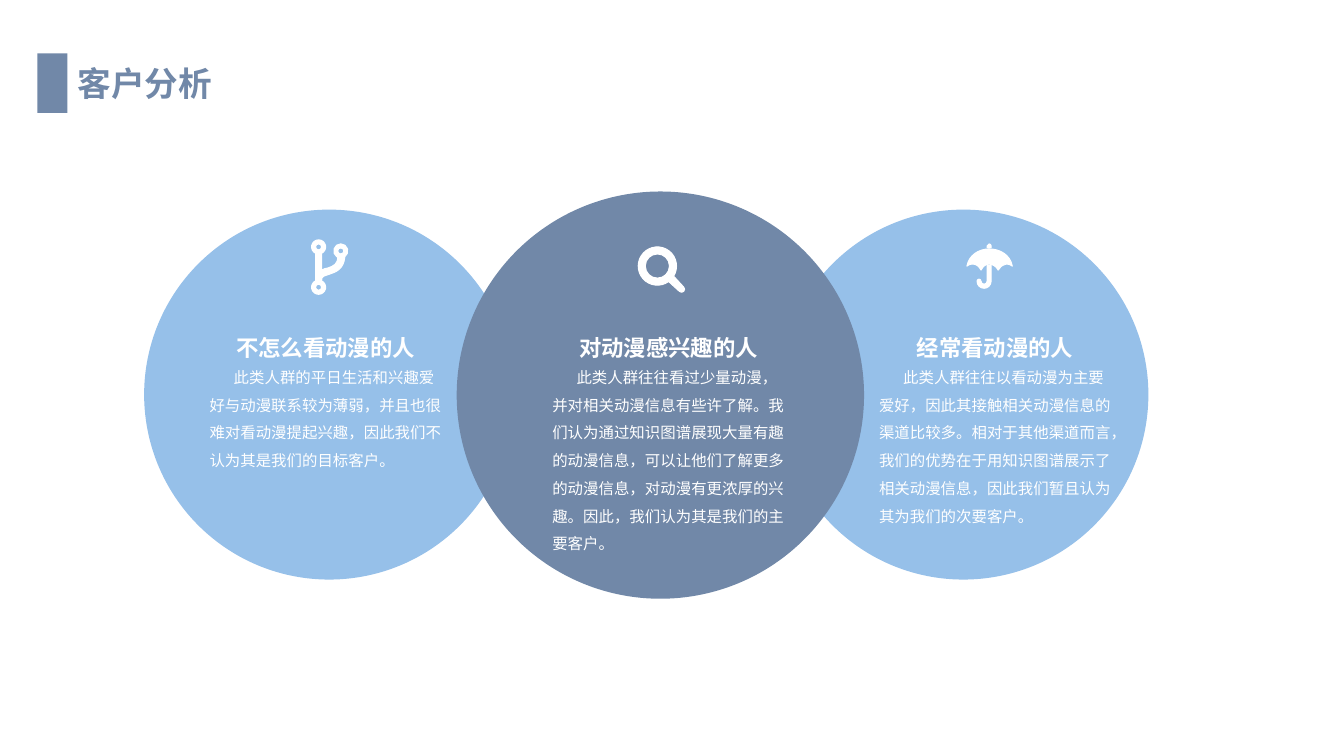
import math
from dataclasses import dataclass

import pptx
import pptx.dml.color
import pptx.enum.shapes
import pptx.enum.text
import pptx.oxml.ns
import pptx.util
from lxml import etree

Inches = pptx.util.Inches
Kind = pptx.enum.shapes.MSO_SHAPE
Align = pptx.enum.text.PP_ALIGN
qn = pptx.oxml.ns.qn


@dataclass(frozen=True)
class Theme:
    font: str = "Noto Sans CJK SC"
    dark: str = "7188A8"
    light: str = "96C0E9"
    white: str = "FFFFFF"
    head: int = 24
    title: int = 16
    body: int = 11
    line: float = 0.75


theme = Theme()


def color(code):
    return pptx.dml.color.RGBColor.from_string(code)


def add_shape(slide, kind, box, fill):
    shape = slide.shapes.add_shape(kind, *map(Inches, box))
    shape.shadow.inherit = False
    shape.fill.solid()
    shape.fill.fore_color.rgb = color(fill)
    shape.line.fill.background()


def add_text(slide, box, text, size, fill, bold=False, wrap=False):
    frame = slide.shapes.add_textbox(*map(Inches, box)).text_frame
    frame.word_wrap = wrap
    frame.text = text
    para = frame.paragraphs[0]
    font = para.runs[0].font
    font.name, font.size, font.bold = theme.font, pptx.util.Pt(size), bold
    font.color.rgb = color(fill)
    props = para.runs[0]._r.get_or_add_rPr()
    etree.SubElement(props, qn("a:ea")).set("typeface", theme.font)
    return para


# Outline parts: a start point, then three points for each Bezier segment
def arc(x, y, radius, start, end):
    count = math.ceil(abs(end - start) / 90)
    step = math.radians(end - start) / count
    pull = 4 / 3 * math.tan(step / 4)

    def spot(angle, shift=0):
        c, s = math.cos(angle), math.sin(angle)
        return x + radius * (c - shift * s), y + radius * (s + shift * c)

    first = math.radians(start)
    points = [spot(first)]
    for i in range(count):
        a, b = first + i * step, first + (i + 1) * step
        points += [spot(a, pull), spot(b, -pull), spot(b)]
    return points


def ring(x, y, radius):
    return arc(x, y, radius, 0, 360)


def join(*parts):
    """Chain parts, with a straight segment across each gap."""
    points = list(parts[0])
    for part in parts[1:]:
        points += [points[-1], part[0]] + part
    return points


# Icons: lists of closed outlines
def fork():
    nodes = [(0.07, 0.07), (0.07, 0.47), (0.29, 0.11)]
    top, foot, side = nodes
    outer = [(0.1, 0.4), (0.1, 0.36), (0.12, 0.36), (0.18, 0.34),
             (0.24, 0.32), (0.32, 0.29), (0.33, 0.17)]
    inner = [(0.26, 0.17), (0.26, 0.24), (0.22, 0.26), (0.16, 0.28),
             (0.14, 0.28), (0.12, 0.29), (0.1, 0.3)]
    edge = join(arc(*top, 0.07, 65, -245), arc(*foot, 0.07, -115, -425),
                outer, arc(*side, 0.07, 55, -235), inner)
    return [edge] + [ring(x, y, 0.03) for x, y in nodes]


def lens():
    edge = join(arc(0.19, 0.19, 0.19, 54, 392), arc(0.43, 0.42, 0.03, -45, 135))
    return [edge, ring(0.19, 0.19, 0.12)]


def umbrella():
    cover = [(0, 0.22), (0.02, 0.11), (0.12, 0.05), (0.22, 0.05),
             (0.33, 0.05), (0.43, 0.11), (0.45, 0.22),
             (0.42, 0.2), (0.41, 0.2), (0.39, 0.2),
             (0.36, 0.2), (0.34, 0.22), (0.31, 0.26),
             (0.29, 0.22), (0.25, 0.2), (0.22, 0.2),
             (0.19, 0.2), (0.16, 0.22), (0.14, 0.26),
             (0.12, 0.22), (0.09, 0.2), (0.06, 0.2),
             (0.04, 0.2), (0.03, 0.2), (0, 0.22)]
    stem = join(arc(0.17, 0.37, 0.07, 0, 180), arc(0.12, 0.37, 0.02, 180, 360),
                arc(0.17, 0.37, 0.03, 180, 0), [(0.2, 0.21)], [(0.24, 0.21)])
    tip = join([(0.2, 0.04)], arc(0.22, 0.02, 0.02, 180, 360), [(0.24, 0.04)])
    return [cover, stem, tip]


def add_icon(slide, left, top, paths):
    paths = [[(Inches(left + x), Inches(top + y)) for x, y in path] for path in paths]
    pen = slide.shapes.build_freeform(*paths[0][0], scale=1.0)
    for i, path in enumerate(paths):
        if i:
            pen.move_to(*path[0])
        pen.add_line_segments(path[1:], close=True)
    icon = pen.convert_to_shape()
    icon.shadow.inherit = False
    icon.fill.solid()
    icon.fill.fore_color.rgb = color(theme.white)
    icon.line.color.rgb = color(theme.white)
    icon.line.width = pptx.util.Pt(theme.line)
    # Each three points become one Bezier segment
    lines = list(icon._element.iter(qn("a:lnTo")))
    for trio in zip(*[iter(lines)] * 3):
        bend = etree.Element(qn("a:cubicBezTo"))
        trio[0].addprevious(bend)
        for line in trio:
            bend.append(line[0])
            line.getparent().remove(line)


def heading(slide, left, top, text):
    add_text(slide, (left + 0.3, top + 0.05, 1.55, 0.5), text, theme.head, theme.dark, True)
    add_shape(slide, Kind.RECTANGLE, (left, top, 0.3, 0.59), theme.dark)


def group(slide, box, fill, icon, spot, inset, title, body, tall):
    """One circle with its icon, title and text; spot and inset count from its corner."""
    left, top, size = box
    add_shape(slide, Kind.OVAL, (left, top, size, size), fill)
    add_icon(slide, left + spot[0], top + spot[1], icon())
    x, y = left + inset[0], top + inset[1]
    wide = 0.22 * len(title) + 0.23
    para = add_text(slide, (x + (2.5 - wide) / 2, y, wide, 0.37), title,
                    theme.title, theme.white, True)
    para.alignment = Align.CENTER
    para = add_text(slide, (x, y + 0.24, 2.5, tall), body, theme.body, theme.white, wrap=True)
    para.line_spacing = 1.5
    para._p.get_or_add_pPr().set("indent", str(Inches(0.24)))


def main():
    deck = pptx.Presentation()
    deck.slide_width, deck.slide_height = Inches(13.33), Inches(7.5)
    slide = deck.slides.add_slide(deck.slide_layouts[6])
    heading(slide, 0.37, 0.53, "客户分析")

    # Side circles first, so that the middle one lies over them
    groups = [
        ((1.43, 2.08, 3.67), theme.light, fork, (1.66, 0.3), (0.55, 1.19), "不怎么看动漫的人",
         "此类人群的平日生活和兴趣爱好与动漫联系较为薄弱，并且也很难对看动漫提起兴趣，"
         "因此我们不认为其是我们的目标客户。", 1.18),
        ((7.72, 2.08, 3.67), theme.light, umbrella, (1.87, 0.34), (0.9, 1.19), "经常看动漫的人",
         "此类人群往往以看动漫为主要爱好，因此其接触相关动漫信息的渠道比较多。"
         "相对于其他渠道而言，我们的优势在于用知识图谱展示了相关动漫信息，"
         "因此我们暂且认为其为我们的次要客户。", 1.73),
        ((4.53, 1.9, 4.04), theme.dark, lens, (1.8, 0.55), (0.85, 1.37), "对动漫感兴趣的人",
         "此类人群往往看过少量动漫，并对相关动漫信息有些许了解。"
         "我们认为通过知识图谱展现大量有趣的动漫信息，可以让他们了解更多的动漫信息，"
         "对动漫有更浓厚的兴趣。因此，我们认为其是我们的主要客户。", 2.01),
    ]
    for item in groups:
        group(slide, *item)
    deck.save("out.pptx")


if __name__ == "__main__":
    main()
